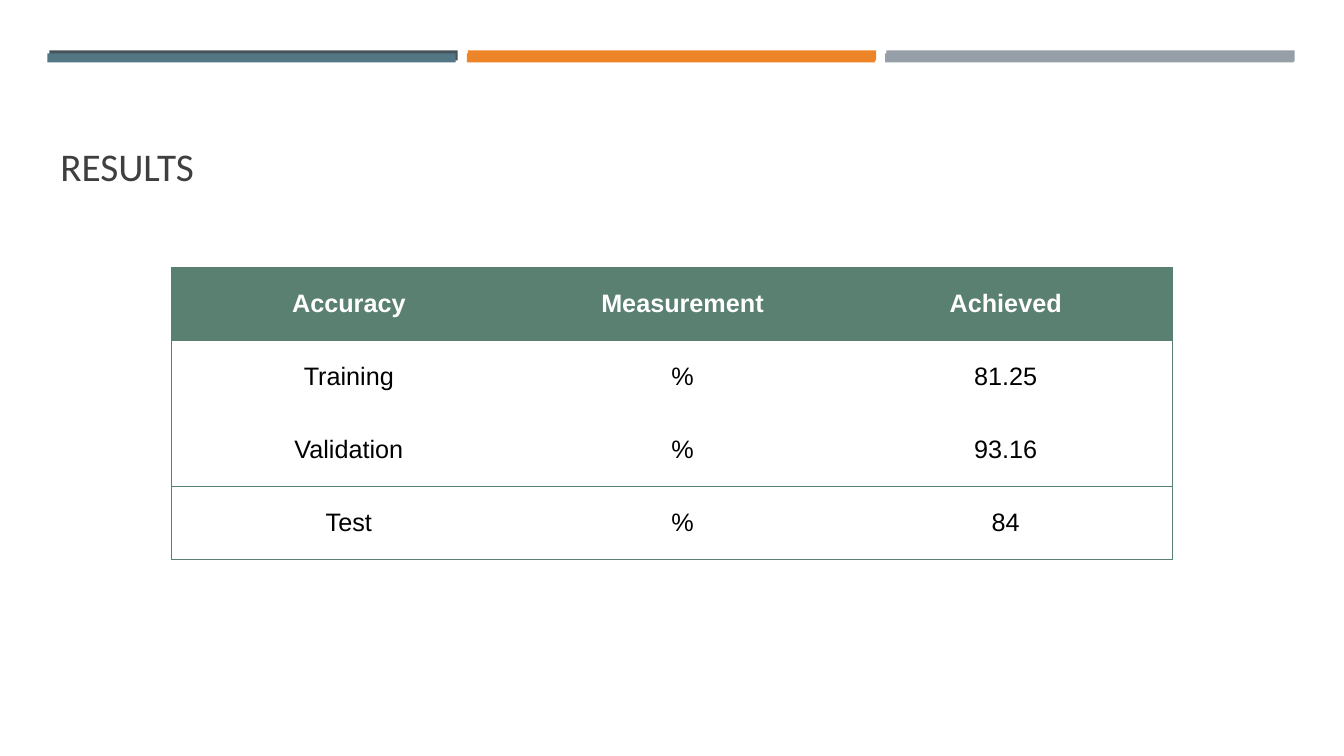
import pptx
import pptx.util
import pptx.dml.color
import pptx.enum.shapes
import pptx.enum.text
import pptx.oxml
import pptx.oxml.ns

Inches = pptx.util.Inches
Pt = pptx.util.Pt
RGB = pptx.dml.color.RGBColor
Align = pptx.enum.text.PP_ALIGN
Anchor = pptx.enum.text.MSO_ANCHOR

SLATE = RGB(0x46, 0x53, 0x59)
BLUE = RGB(0x53, 0x76, 0x85)
ORANGE = RGB(0xED, 0x84, 0x28)
GRAY = RGB(0x96, 0x9F, 0xA7)
GREEN = RGB(0x5A, 0x80, 0x71)
INK = RGB(0x3F, 0x3F, 0x3F)
BLACK = RGB(0, 0, 0)
WHITE = RGB(0xFF, 0xFF, 0xFF)

NO_STYLE = "{2D5ABB26-0587-4C30-8999-92F81FD0307C}"
BARS = [
    (0.49, 0.5, 0.1, SLATE), (8.79, 0.5, 0.11, GRAY), (4.64, 0.5, 0.1, ORANGE),
    (0.47, 0.53, 0.09, BLUE), (4.63, 0.53, 0.09, ORANGE), (8.78, 0.53, 0.09, GRAY),
]
ROWS = [
    ("Accuracy", "Measurement", "Achieved"),
    ("Training", "%", "81.25"),
    ("Validation", "%", "93.16"),
    ("Test", "%", "84"),
]
WIDTHS = (3.52, 3.1, 3.31)
LINED = (0, 2, 3)  # rows with a line below


class Deck:
    HEAD = dict(name="Calibri", size=Pt(28))
    CELL = dict(name="Arial", size=Pt(18))

    def __init__(self, slide):
        self.slide = slide

    def label(self, para, text, color, style):
        para.text = text
        for key, value in style.items():
            setattr(para.font, key, value)
        para.font.color.rgb = color

    def bar(self, left, top, height, color):
        kind = pptx.enum.shapes.MSO_SHAPE.RECTANGLE
        shape = self.slide.shapes.add_shape(
            kind, Inches(left), Inches(top), Inches(4.05), Inches(height))
        shape.shadow.inherit = False
        shape.fill.solid()
        shape.fill.fore_color.rgb = color
        shape.line.fill.background()

    def title(self, text):
        box = self.slide.shapes.add_textbox(
            Inches(0.5), Inches(0.77), Inches(12.33), Inches(1.16))
        frame = box.text_frame
        frame.word_wrap = True
        frame.vertical_anchor = Anchor.BOTTOM
        self.label(frame.paragraphs[0], text, INK, self.HEAD)

    def edge(self, cell, sides):
        """Draw the named sides of a cell, and hide the others."""
        props = cell._tc.get_or_add_tcPr()
        space = pptx.oxml.ns.nsdecls("a")
        for side in "LRTB":
            paint = "<a:noFill/>"
            if side in sides:
                paint = f'<a:solidFill><a:srgbClr val="{GREEN}"/></a:solidFill>'
            props.append(pptx.oxml.parse_xml(
                f'<a:ln{side} {space} w="{Pt(0.75)}">{paint}</a:ln{side}>'))

    def table(self, rows):
        frame = self.slide.shapes.add_table(
            len(rows), len(WIDTHS), Inches(1.7), Inches(2.65),
            Inches(sum(WIDTHS)), Inches(2.9))
        table = frame.table
        table.horz_banding = False
        table._tbl.tblPr[0].text = NO_STYLE
        for column, width in zip(table.columns, WIDTHS):
            column.width = Inches(width)
        for r, row in enumerate(rows):
            for c, text in enumerate(row):
                self.cell(table.cell(r, c), text, r, c)

    def cell(self, cell, text, r, c):
        sides = {0: "L", len(WIDTHS) - 1: "R"}.get(c, "")
        sides += "T" if r == 0 or r - 1 in LINED else ""
        sides += "B" if r in LINED else ""
        self.edge(cell, sides)
        if r == 0:
            cell.fill.solid()
            cell.fill.fore_color.rgb = GREEN
        else:
            cell.fill.background()
        cell.vertical_anchor = Anchor.MIDDLE
        para = cell.text_frame.paragraphs[0]
        para.alignment = Align.CENTER
        self.label(para, text, BLACK if r else WHITE, dict(self.CELL, bold=r == 0))


def main():
    show = pptx.Presentation()
    show.slide_width = Inches(13.33)
    show.slide_height = Inches(7.5)
    deck = Deck(show.slides.add_slide(show.slide_layouts[6]))
    for bar in BARS:
        deck.bar(*bar)
    deck.title("RESULTS")
    deck.table(ROWS)
    show.save("out.pptx")


if __name__ == "__main__":
    main()
